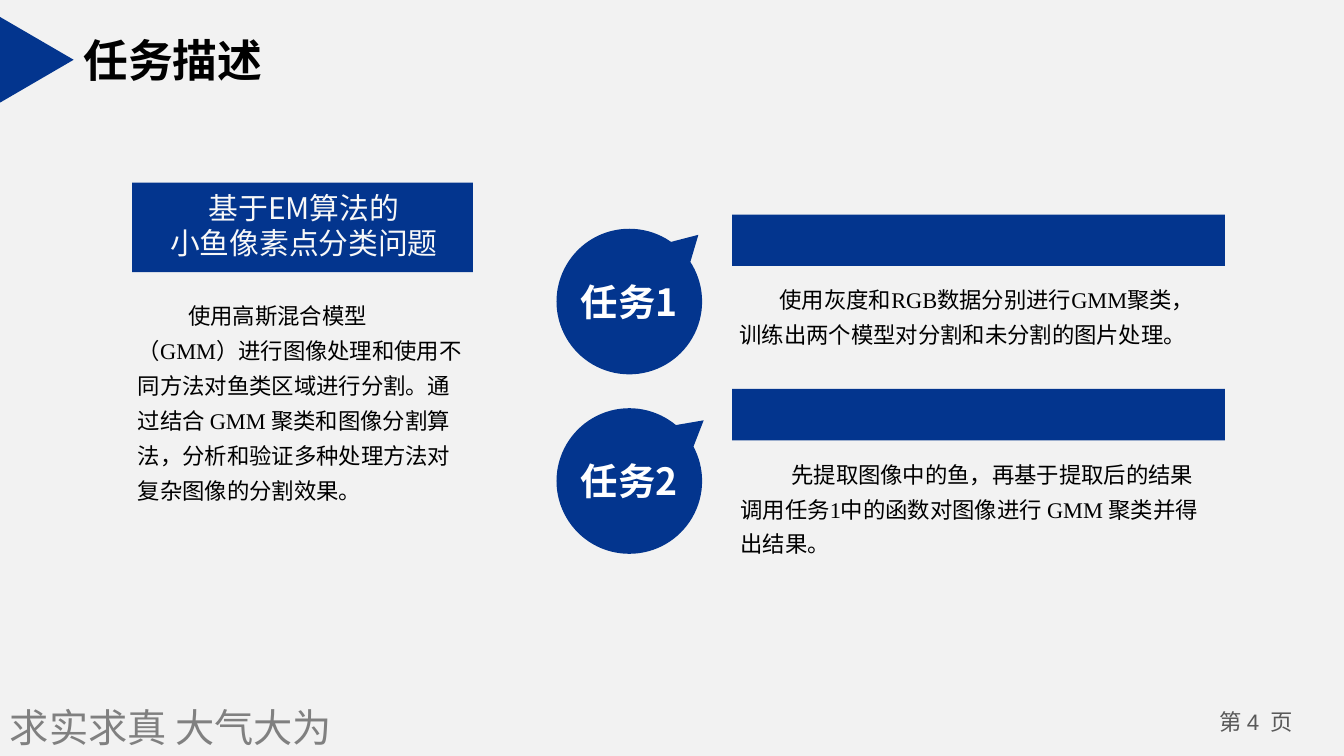
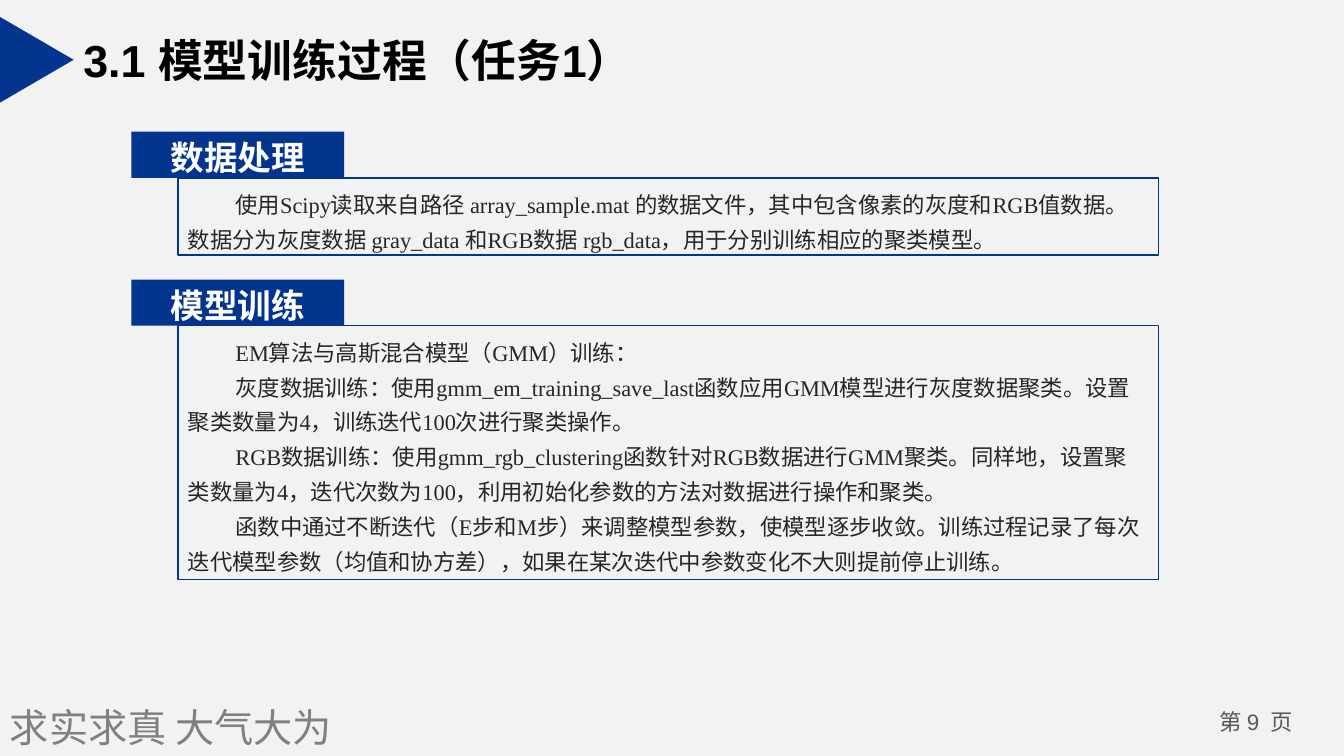
from math import cos, radians, sin

from lxml.etree import SubElement
from pptx import Presentation
from pptx.dml.color import RGBColor
from pptx.enum.shapes import MSO_SHAPE
from pptx.enum.text import MSO_ANCHOR, MSO_AUTO_SIZE, PP_ALIGN
from pptx.oxml.ns import qn
from pptx.util import Pt

BLUE = RGBColor(0x03, 0x35, 0x8E)
PAPER = RGBColor(0xF2, 0xF2, 0xF2)
BLACK = RGBColor(0, 0, 0)
INK = RGBColor(0x26, 0x26, 0x26)
WHITE = RGBColor(0xFF, 0xFF, 0xFF)
OFF_WHITE = RGBColor(0xF8, 0xF8, 0xF8)
PAGE_GRAY = RGBColor(0x59, 0x59, 0x59)
MOTTO_GRAY = RGBColor(0x80, 0x80, 0x80)
CJK, SERIF, SANS = "Noto Sans CJK SC", "Times New Roman", "Arial"

MOTTO = "求实求真 大气大为"

TASK_TITLE = "任务描述"
TOPIC = ["基于EM算法的", "小鱼像素点分类问题"]
SUMMARY = ("使用高斯混合模型（GMM）进行图像处理和使用不同方法对鱼类区域进行分割。"
           "通过结合 GMM 聚类和图像分割算法，分析和验证多种处理方法对复杂图像的分割效果。")
# label, bubble centre y, tip angle, text left, first-line indent, text
TASKS = [
    ("任务1", 215.4, -44, 521.2, 28.6,
     "使用灰度和RGB数据分别进行GMM聚类，训练出两个模型对分割和未分割的图片处理。"),
    ("任务2", 343.6, -39.2, 521.8, 36.4,
     "先提取图像中的鱼，再基于提取后的结果调用任务1中的函数对图像进行 GMM 聚类并得出结果。"),
]

TRAINING_TITLE = "3.1 模型训练过程（任务1）"
# heading, top, body height, paragraphs
SECTIONS = [
    ("数据处理", 94.1, 55.2, [
        "使用Scipy读取来自路径 array_sample.mat 的数据文件，其中包含像素的灰度和RGB值数据。"
        "数据分为灰度数据 gray_data 和RGB数据 rgb_data，用于分别训练相应的聚类模型。",
    ]),
    ("模型训练", 199.7, 181.2, [
        "EM算法与高斯混合模型（GMM）训练：",
        "灰度数据训练：使用gmm_em_training_save_last函数应用GMM模型进行灰度数据聚类。"
        "设置聚类数量为4，训练迭代100次进行聚类操作。",
        "RGB数据训练：使用gmm_rgb_clustering函数针对RGB数据进行GMM聚类。"
        "同样地，设置聚类数量为4，迭代次数为100，利用初始化参数的方法对数据进行操作和聚类。",
        "函数中通过不断迭代（E步和M步）来调整模型参数，使模型逐步收敛。"
        "训练过程记录了每次迭代模型参数（均值和协方差），如果在某次迭代中参数变化不大则提前停止训练。",
    ]),
]


def style(p, size, font, color, bold=False, align=PP_ALIGN.LEFT, indent=0, spacing=None):
    p.alignment = align
    if spacing:
        p.line_spacing = spacing
    if indent:
        pPr = p._p.get_or_add_pPr()
        pPr.set("marL", "0")
        pPr.set("indent", str(Pt(indent)))
    p.font.size, p.font.bold, p.font.name = Pt(size), bold, font
    p.font.color.rgb = color
    east_asian = SubElement(p._p.pPr.find(qn("a:defRPr")), qn("a:ea"))
    east_asian.set("typeface", CJK)


def write(shape, texts, *args, anchor=MSO_ANCHOR.TOP, **kwargs):
    """Fill the shape with one paragraph per text, all in the same style."""
    tf = shape.text_frame
    tf.word_wrap = True
    tf.vertical_anchor = anchor
    for i, text in enumerate(texts):
        p = tf.add_paragraph() if i else tf.paragraphs[0]
        p.add_run().text = text
        style(p, *args, **kwargs)


def add_box(s, x, y, w, h, fill=BLUE, line=None, kind=MSO_SHAPE.RECTANGLE):
    box = s.shapes.add_shape(kind, Pt(x), Pt(y), Pt(w), Pt(h))
    box.shadow.inherit = False
    box.fill.solid()
    box.fill.fore_color.rgb = fill
    if line is None:
        box.line.fill.background()
    else:
        box.line.color.rgb = line
        box.line.width = Pt(1)
    return box


def add_text(s, x, y, w, h, texts, *args, **kwargs):
    tb = s.shapes.add_textbox(Pt(x), Pt(y), Pt(w), Pt(h))
    write(tb, texts, *args, **kwargs)
    return tb


def add_bubble(s, cx, cy, tip_angle, radius=52, tip_radius=68.6):
    """Draw a disc with a pointed tip towards tip_angle (degrees)."""
    size = 2 * radius
    bubble = add_box(s, cx - radius, cy - radius, size, size, kind=MSO_SHAPE.OVAL_CALLOUT)
    bubble.adjustments[0] = tip_radius / size * cos(radians(tip_angle))
    bubble.adjustments[1] = tip_radius / size * sin(radians(tip_angle))


def add_slide(prs, title, page):
    s = prs.slides.add_slide(prs.slide_layouts[5])
    heading = s.shapes.title
    heading.left, heading.top, heading.width, heading.height = Pt(49.9), Pt(18.6), Pt(452), Pt(48)
    tf = heading.text_frame
    tf.auto_size = MSO_AUTO_SIZE.NONE
    tf.margin_left = tf.margin_right = Pt(9.6)
    tf.margin_top = tf.margin_bottom = Pt(4.8)
    write(heading, [title], 32, SANS, BLACK, bold=True)

    add_box(s, -4.3, 16.4, 61.2, 52.6, kind=MSO_SHAPE.ISOSCELES_TRIANGLE).rotation = 90
    add_text(s, 0, 499, 284, 41, [MOTTO], 28, CJK, MOTTO_GRAY)
    number = add_text(s, 854.2, 502.6, 86.4, 28.8, ["第 "], 16, CJK, PAGE_GRAY,
                      align=PP_ALIGN.CENTER)
    p = number.text_frame.paragraphs[0]
    r = p.add_run()
    r.text = f"{page} "
    r.font.name = SANS
    p.add_run().text = " 页"
    return s


def build_tasks(prs):
    s = add_slide(prs, TASK_TITLE, 4)
    add_box(s, 94.3, 130.4, 243.4, 64)
    add_text(s, 95.4, 131.7, 243.4, 59, TOPIC, 21.3, CJK, OFF_WHITE, align=PP_ALIGN.CENTER)
    add_text(s, 91.4, 206.6, 246.3, 156, [SUMMARY], 16, SERIF, BLACK, indent=36, spacing=1.3)

    center_x, bar_top, step = 449.5, 153.3, 124.5
    for i, (label, center_y, tip_angle, left, indent, text) in enumerate(TASKS):
        top = bar_top + i * step
        add_bubble(s, center_x, center_y, tip_angle)
        add_text(s, center_x - 52, center_y - 19.5, 104, 39, [label], 26.7, CJK, WHITE,
                 bold=True, align=PP_ALIGN.CENTER, anchor=MSO_ANCHOR.MIDDLE)
        add_box(s, 523, top, 352, 36.7)
        add_text(s, left, top + 42, 351.4, 55 + 25 * i, [text], 16, SERIF, BLACK,
                 indent=indent, spacing=1.3)


def build_training(prs):
    s = add_slide(prs, TRAINING_TITLE, 9)
    tab_height = 33
    for heading, top, body_height, texts in SECTIONS:
        body = add_box(s, 127.1, top + tab_height, 700.5, body_height, PAPER, BLUE)
        write(body, texts, 16, SERIF, INK, indent=34, spacing=1.3)
        tab = add_box(s, 93.8, top, 152, tab_height)
        write(tab, [heading], 24, CJK, WHITE, bold=True, align=PP_ALIGN.CENTER)


def main():
    prs = Presentation()
    prs.slide_width, prs.slide_height = Pt(960), Pt(540)
    background = prs.slide_master.background.fill
    background.solid()
    background.fore_color.rgb = PAPER
    build_tasks(prs)
    build_training(prs)
    prs.save("out.pptx")


if __name__ == "__main__":
    main()
